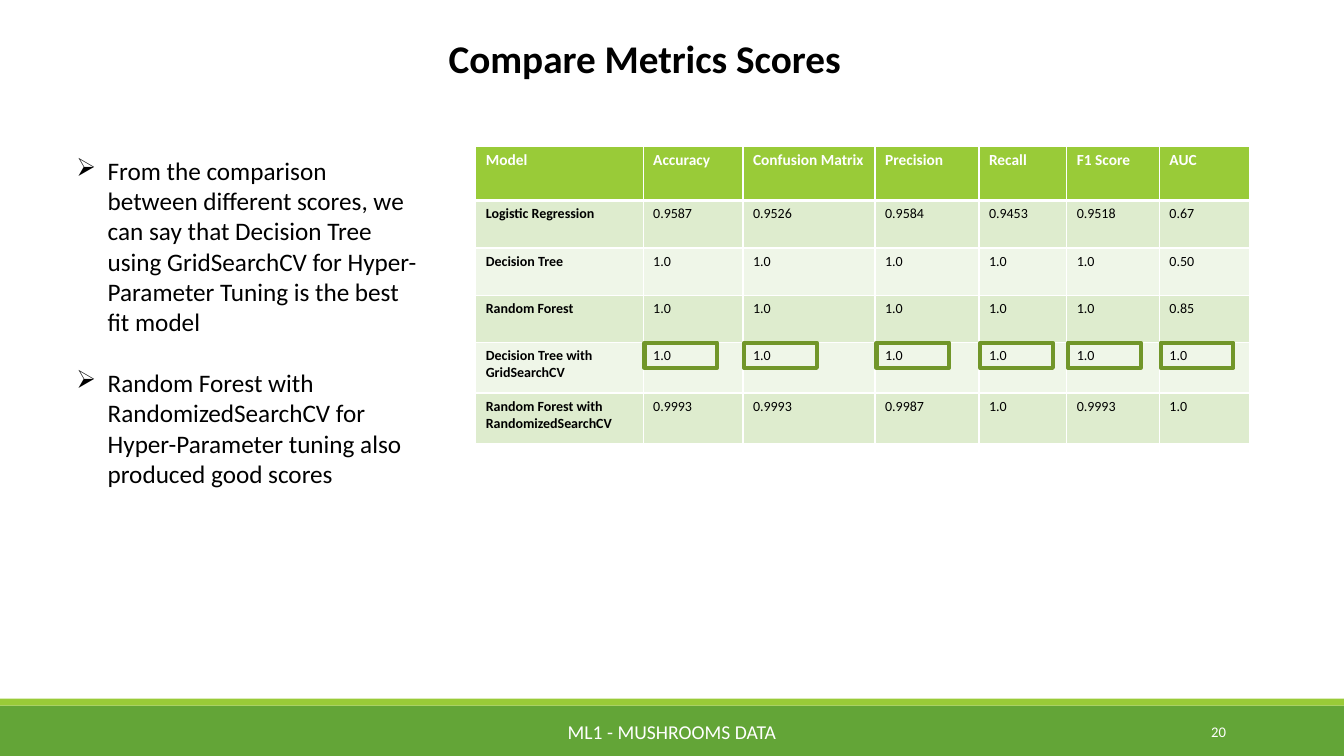
from itertools import accumulate

from lxml.etree import SubElement
from pptx import Presentation
from pptx.dml.color import RGBColor
from pptx.enum.shapes import MSO_SHAPE
from pptx.enum.text import MSO_ANCHOR, PP_ALIGN
from pptx.oxml.ns import qn
from pptx.util import Inches, Pt

WIDTH, HEIGHT = Inches(13.333), Inches(7.5)

THEME = {
    "font": "Calibri",
    "colour": {
        "band": "63A537", "accent": "99CB38", "highlight": "719629",
        "odd": "DEECCE", "even": "EFF6E8", "light": "FFFFFF", "dark": "000000",
    },
    "size": {"title": 28, "body": 18, "footer": 14, "header": 11, "number": 10.5, "cell": 10},
}

BULLETS = [
    "From the comparison between different scores, we can say that Decision Tree "
    "using GridSearchCV for Hyper-Parameter Tuning is the best fit model",
    "Random Forest with RandomizedSearchCV for Hyper-Parameter tuning also produced good scores",
]
SCORES = [
    ["Model", "Accuracy", "Confusion Matrix", "Precision", "Recall", "F1 Score", "AUC"],
    ["Logistic Regression", "0.9587", "0.9526", "0.9584", "0.9453", "0.9518", "0.67"],
    ["Decision Tree", "1.0", "1.0", "1.0", "1.0", "1.0", "0.50"],
    ["Random Forest", "1.0", "1.0", "1.0", "1.0", "1.0", "0.85"],
    ["Decision Tree with GridSearchCV", "1.0", "1.0", "1.0", "1.0", "1.0", "1.0"],
    ["Random Forest with RandomizedSearchCV", "0.9993", "0.9993", "0.9987", "1.0", "0.9993", "1.0"],
]
BEST_ROW = 4
TABLE_LEFT, TABLE_TOP = 35.4, 19.33
COLUMN_WIDTHS = [12.45, 7.43, 9.83, 7.73, 6.53, 6.9, 6.75]
ROW_HEIGHTS = [7.2, 6.27, 6.27, 6.27, 6.67, 6.67]


def across(share):
    """Turn a percentage of the slide width into a length."""
    return round(WIDTH * share / 100)


def down(share):
    """Turn a percentage of the slide height into a length."""
    return round(HEIGHT * share / 100)


def area(left, top, width, height):
    """Turn percentages of the slide into a position and size."""
    return across(left), down(top), across(width), down(height)


def colour(name):
    """Look up a theme colour."""
    return RGBColor.from_string(THEME["colour"][name])


def apply(target, values):
    """Set every attribute named in a dict of format values."""
    for name, value in values.items():
        setattr(target, name, value)


def write(para, text, size, ink="dark", bold=False):
    """Add styled text to a paragraph."""
    span = para.add_run()
    span.text = text
    apply(span.font, {"name": THEME["font"], "size": Pt(THEME["size"][size]), "bold": bold})
    span.font.color.rgb = colour(ink)


def add_box(page, place, anchor=MSO_ANCHOR.TOP):
    """Add an empty wrapping text box and return its frame."""
    frame = page.shapes.add_textbox(*area(*place)).text_frame
    apply(frame, {"word_wrap": True, "vertical_anchor": anchor})
    return frame


def add_label(page, place, text, align, size, ink="light", bold=False, anchor=MSO_ANCHOR.MIDDLE):
    """Add a text box with one aligned line."""
    para = add_box(page, place, anchor).paragraphs[0]
    para.alignment = align
    write(para, text, size, ink, bold)


def add_rectangle(page, place, fill=None, outline=None):
    """Add a rectangle with a fill, an outline or both."""
    shape = page.shapes.add_shape(MSO_SHAPE.RECTANGLE, *area(*place))
    shape.shadow.inherit = False
    for part, name in ((shape.fill, fill), (shape.line.fill, outline)):
        if name:
            part.solid()
            part.fore_color.rgb = colour(name)
        else:
            part.background()
    if outline:
        shape.line.width = Pt(3)


def add_bullets(page, place, texts):
    """Add a list with arrowhead bullets and a line of space between items."""
    frame = add_box(page, place)
    for index, text in enumerate(texts):
        para = frame.add_paragraph() if index else frame.paragraphs[0]
        para.space_before = Pt(22 if index else 0)
        properties = para._p.get_or_add_pPr()
        properties.set("marL", str(Inches(0.31)))
        properties.set("indent", str(-Inches(0.31)))
        SubElement(properties, qn("a:buChar"), char="➢")
        write(para, text, "body")


def add_borders(cell, widths):
    """Draw light borders of the given point widths on a cell."""
    properties = cell._tc.get_or_add_tcPr()
    for side, width in widths.items():
        line = SubElement(properties, qn(f"a:ln{side}"), w=str(Pt(width)))
        fill = SubElement(line, qn("a:solidFill"))
        SubElement(fill, qn("a:srgbClr"), val=THEME["colour"]["light"])


def style_cell(cell, text, row, column):
    """Fill, border and write one cell according to its place in the table."""
    header = row == 0
    add_borders(cell, {"L": 1, "R": 1, "T": 3 if row == 1 else 1, "B": 3 if header else 1})
    cell.fill.solid()
    cell.fill.fore_color.rgb = colour("accent" if header else "odd" if row % 2 else "even")
    write(cell.text_frame.paragraphs[0], text, "header" if header else "cell",
          "light" if header else "dark", header or column == 0)


def add_scores(page):
    """Add the table of metric scores."""
    place = area(TABLE_LEFT, TABLE_TOP, sum(COLUMN_WIDTHS), sum(ROW_HEIGHTS))
    table = page.shapes.add_table(len(SCORES), len(SCORES[0]), *place).table
    for column, share in zip(table.columns, COLUMN_WIDTHS):
        column.width = across(share)
    for row, share in zip(table.rows, ROW_HEIGHTS):
        row.height = down(share)
    for row, values in enumerate(SCORES):
        for column, text in enumerate(values):
            style_cell(table.cell(row, column), text, row, column)


def add_highlights(page):
    """Frame every score of the best model."""
    top = TABLE_TOP + sum(ROW_HEIGHTS[:BEST_ROW])
    for offset in accumulate(COLUMN_WIDTHS[:-1]):
        add_rectangle(page, (TABLE_LEFT + offset + 0.1, top, 5.4, 3.33), outline="highlight")


def main():
    """Build the slide and save the deck."""
    deck = Presentation()
    apply(deck, {"slide_width": WIDTH, "slide_height": HEIGHT})
    page = deck.slides.add_slide(deck.slide_layouts[6])
    add_rectangle(page, (0, 93.33, 100, 6.67), fill="band")
    add_rectangle(page, (0, 92.4, 100, 0.93), fill="accent")
    add_label(page, (30.23, 94.13, 39.53, 5.33), "ML1 - MUSHROOMS DATA", PP_ALIGN.CENTER, "footer")
    add_label(page, (81.23, 94.13, 10.73, 5.33), "20", PP_ALIGN.RIGHT, "number")
    add_scores(page)
    add_label(page, (15.38, 3.87, 65.18, 7.6), "Compare Metrics Scores", PP_ALIGN.CENTER,
              "title", "dark", True, MSO_ANCHOR.TOP)
    add_highlights(page)
    add_bullets(page, (4.95, 19.87, 27.08, 49.87), BULLETS)
    deck.save("out.pptx")


if __name__ == "__main__":
    main()
